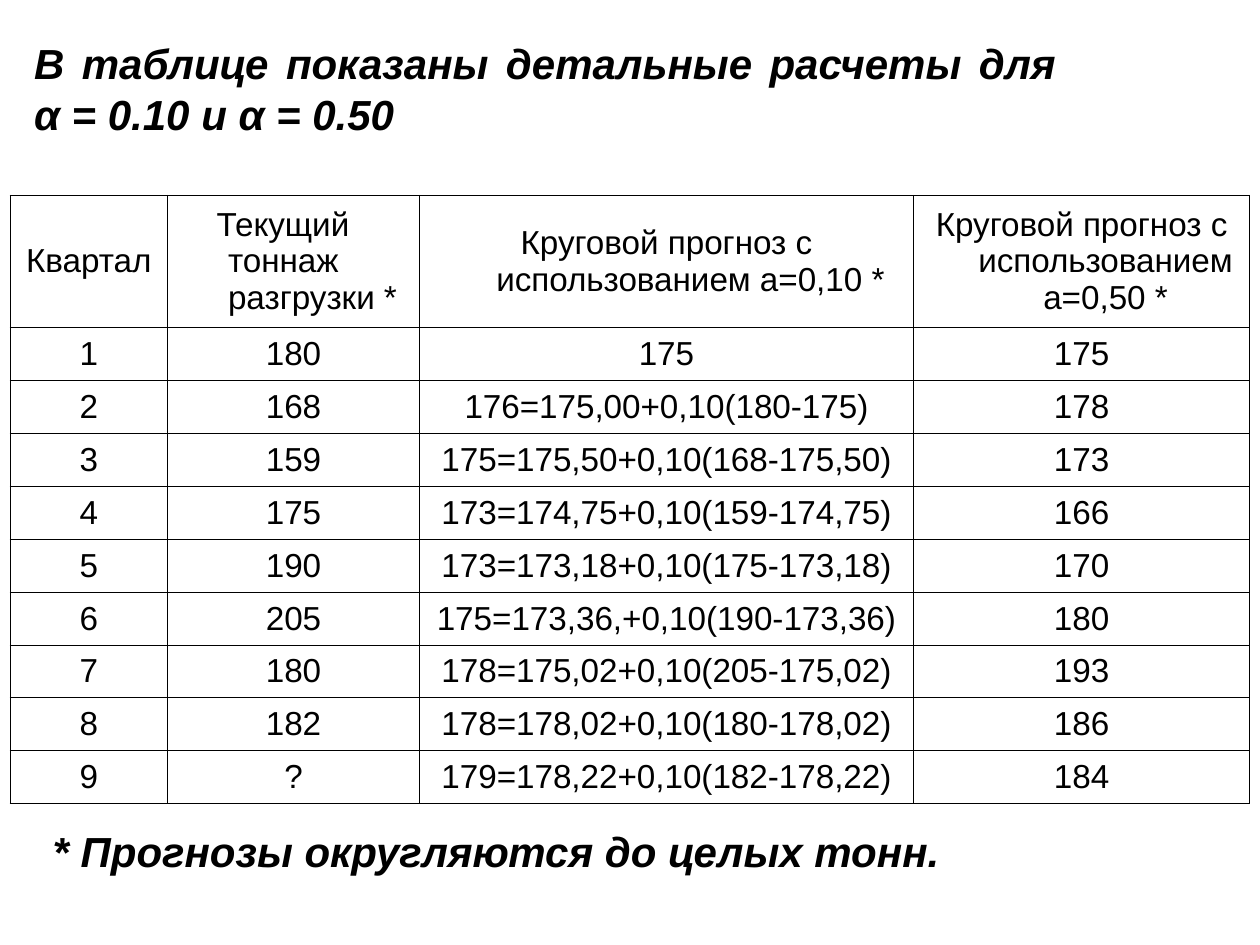
from lxml.etree import SubElement
from pptx import Presentation
from pptx.dml.color import RGBColor
from pptx.enum.text import MSO_ANCHOR, MSO_AUTO_SIZE, PP_ALIGN
from pptx.oxml import parse_xml
from pptx.oxml.ns import nsdecls, qn
from pptx.util import Inches, Pt

COLORS = {"text": "000000", "border": "000000"}
FONT = "Arial"
COL_WIDTHS = [1.25, 2, 3.92, 2.67]
HEADER_HEIGHT, ROW_HEIGHT = 1.05, 0.42
HANGING = 0.38

HEADERS = [
    "Квартал",
    "Текущий тоннаж разгрузки *",
    "Круговой прогноз с использованием а=0,10 *",
    "Круговой прогноз с использованием а=0,50 *",
]
QUARTERS = [
    ("180", "175", "175"),
    ("168", "176=175,00+0,10(180-175)", "178"),
    ("159", "175=175,50+0,10(168-175,50)", "173"),
    ("175", "173=174,75+0,10(159-174,75)", "166"),
    ("190", "173=173,18+0,10(175-173,18)", "170"),
    ("205", "175=173,36,+0,10(190-173,36)", "180"),
    ("180", "178=175,02+0,10(205-175,02)", "193"),
    ("182", "178=178,02+0,10(180-178,02)", "186"),
    ("?", "179=178,22+0,10(182-178,22)", "184"),
]


def format_runs(p, size, strong=False):
    for r in p.runs:
        r.font.name = FONT
        r.font.size = Pt(size)
        r.font.bold = r.font.italic = strong
        r.font.color.rgb = RGBColor.from_string(COLORS["text"])


def set_statement(sp, text, wrap):
    """Bold italic justified text, used above and below the table."""
    tf = sp.text_frame
    tf.text = text
    tf.word_wrap = wrap
    tf.auto_size = MSO_AUTO_SIZE.SHAPE_TO_FIT_TEXT
    tf.vertical_anchor = MSO_ANCHOR.MIDDLE
    p = tf.paragraphs[0]
    p.alignment = PP_ALIGN.JUSTIFY
    format_runs(p, 24, strong=True)


def add_title(s, text):
    sp = s.shapes.title
    sp.left, sp.top = Inches(0.17), Inches(0.25)
    sp.width, sp.height = Inches(8.31), Inches(0.9)
    set_statement(sp, text, wrap=True)


def add_footnote(s, text):
    sp = s.shapes.add_textbox(Inches(0.32), Inches(6.5), Inches(7.27), Inches(0.5))
    set_statement(sp, text, wrap=False)


def set_borders(cell):
    tc_pr = cell._tc.get_or_add_tcPr()
    for i, side in enumerate(("lnL", "lnR", "lnT", "lnB")):
        ln = parse_xml(f'<a:{side} {nsdecls("a")} w="{Pt(0.45)}"/>')
        fill = SubElement(ln, qn("a:solidFill"))
        SubElement(fill, qn("a:srgbClr"), val=COLORS["border"])
        tc_pr.insert(i, ln)


def fill_cell(cell, text, align=PP_ALIGN.CENTER, indent=-HANGING):
    cell.text_frame.text = text
    cell.vertical_anchor = MSO_ANCHOR.MIDDLE
    cell.fill.background()
    set_borders(cell)
    p = cell.text_frame.paragraphs[0]
    p.alignment = align
    p_pr = p._p.get_or_add_pPr()
    p_pr.set("marL", str(Inches(HANGING)))
    p_pr.set("indent", str(Inches(indent)))
    format_runs(p, 19)


def add_forecast_table(s):
    rows = [HEADERS] + [(str(n), *values) for n, values in enumerate(QUARTERS, 1)]
    heights = [HEADER_HEIGHT] + [ROW_HEIGHT] * len(QUARTERS)
    table = s.shapes.add_table(
        len(rows), len(COL_WIDTHS), Inches(0.08), Inches(1.55),
        Inches(sum(COL_WIDTHS)), Inches(sum(heights)),
    ).table
    table.first_row = table.horz_banding = False
    for column, width in zip(table.columns, COL_WIDTHS):
        column.width = Inches(width)
    for row, height, texts in zip(table.rows, heights, rows):
        row.height = Inches(height)
        for cell, text in zip(row.cells, texts):
            fill_cell(cell, text)
    # The tonnage header is left-aligned with a small outdent
    fill_tonnage = table.cell(0, 1).text_frame.paragraphs[0]
    fill_tonnage.alignment = PP_ALIGN.LEFT
    fill_tonnage._p.get_or_add_pPr().set("indent", str(Inches(-0.09)))


def main():
    prs = Presentation()
    prs.slide_width, prs.slide_height = Inches(10), Inches(7.5)
    s = prs.slides.add_slide(prs.slide_layouts[5])
    add_title(s, "В таблице показаны детальные расчеты для α = 0.10 и α = 0.50")
    add_footnote(s, "* Прогнозы округляются до целых тонн.")
    add_forecast_table(s)
    prs.save("out.pptx")


if __name__ == "__main__":
    main()
